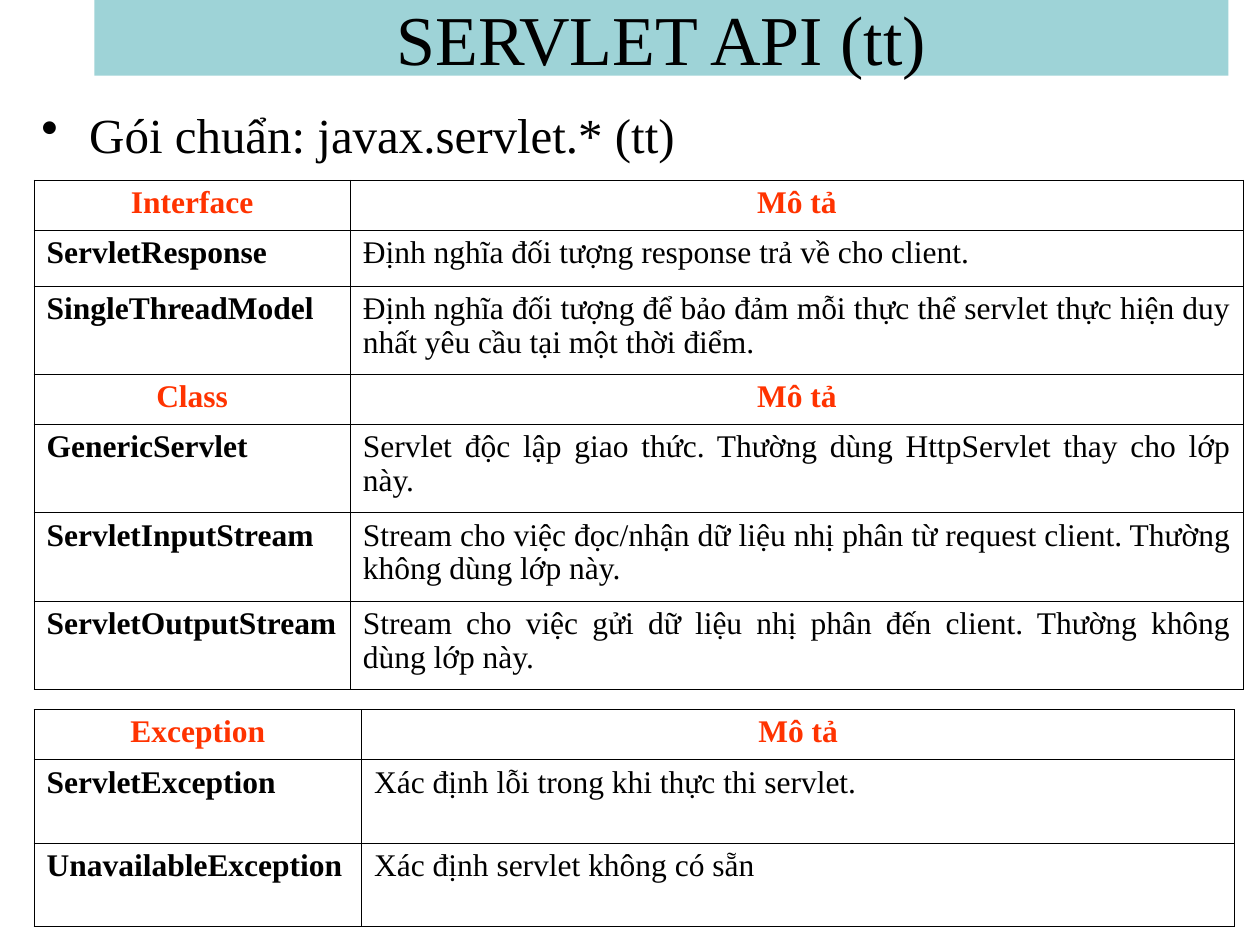
import pptx
import pptx.util
import pptx.dml.color
import pptx.enum.text
import pptx.enum.shapes
import pptx.oxml
import pptx.oxml.ns
from lxml import etree

Inches, Pt = pptx.util.Inches, pptx.util.Pt
RGB = pptx.dml.color.RGBColor
ALIGN = pptx.enum.text.PP_ALIGN
ANCHOR = pptx.enum.text.MSO_ANCHOR

BLACK = RGB(0x00, 0x00, 0x00)
RED = RGB(0xFF, 0x33, 0x00)
TEAL = RGB(0x9E, 0xD3, 0xD7)
FONT = "Times New Roman"

# Content
TITLE = "SERVLET API (tt)"
POINT = "Gói chuẩn: javax.servlet.* (tt)"
HEADS = {"Interface", "Class", "Exception"}
TABLES = [
    dict(top=1.43, cols=[2.51, 7.09], rows=[
        (0.4, "Interface", "Mô tả"),
        (0.44, "ServletResponse",
         "Định nghĩa đối tượng response trả về cho client."),
        (0.7, "SingleThreadModel",
         "Định nghĩa đối tượng để bảo đảm mỗi thực thể servlet thực hiện "
         "duy nhất yêu cầu tại một thời điểm."),
        (0.4, "Class", "Mô tả"),
        (0.7, "GenericServlet",
         "Servlet độc lập giao thức. Thường dùng HttpServlet thay cho lớp này."),
        (0.7, "ServletInputStream",
         "Stream cho việc đọc/nhận dữ liệu nhị phân từ request client. "
         "Thường không dùng lớp này."),
        (0.7, "ServletOutputStream",
         "Stream cho việc gửi dữ liệu nhị phân đến client. "
         "Thường không dùng lớp này."),
    ]),
    dict(top=5.63, cols=[2.6, 6.93], rows=[
        (0.4, "Exception", "Mô tả"),
        (0.66, "ServletException", "Xác định lỗi trong khi thực thi servlet."),
        (0.66, "UnavailableException", "Xác định servlet không có sẵn"),
    ]),
]


def write(frame, text, size, align, color=BLACK, bold=False):
    frame.text = text
    para = frame.paragraphs[0]
    para.alignment = align
    font = para.runs[0].font
    font.name, font.size, font.bold = FONT, Pt(size), bold
    font.color.rgb = color
    return para


def border(cell):
    props = cell._tc.get_or_add_tcPr()
    for i, side in enumerate(("lnL", "lnR", "lnT", "lnB")):
        line = pptx.oxml.parse_xml(
            f'<a:{side} {pptx.oxml.ns.nsdecls("a")} w="{Pt(0.45)}"><a:solidFill>'
            f'<a:srgbClr val="{BLACK}"/></a:solidFill></a:{side}>')
        props.insert(i, line)


def add_grid(slide, top, cols, rows):
    high = sum(row[0] for row in rows)
    grid = slide.shapes.add_table(
        len(rows), len(cols), Inches(0.27), Inches(top),
        Inches(sum(cols)), Inches(high)).table
    grid.first_row = grid.horz_banding = False
    for col, width in zip(grid.columns, cols):
        col.width = Inches(width)
    for r, (height, *texts) in enumerate(rows):
        grid.rows[r].height = Inches(height)
        head = texts[0] in HEADS
        for c, text in enumerate(texts):
            cell = grid.cell(r, c)
            cell.fill.background()
            border(cell)
            para = write(cell.text_frame, text, 18,
                         ALIGN.CENTER if head else ALIGN.JUSTIFY,
                         RED if head else BLACK, head or c == 0)
            para.line_spacing = 0.97


def main():
    deck = pptx.Presentation()
    deck.slide_width, deck.slide_height = Inches(10), Inches(7.5)
    slide = deck.slides.add_slide(deck.slide_layouts[6])

    # Title band
    band = slide.shapes.add_shape(
        pptx.enum.shapes.MSO_SHAPE.RECTANGLE,
        Inches(0.75), 0, Inches(9), Inches(0.6))
    band.shadow.inherit = False
    band.fill.solid()
    band.fill.fore_color.rgb = TEAL
    band.line.fill.background()
    band.text_frame.vertical_anchor = ANCHOR.MIDDLE
    write(band.text_frame, TITLE, 40, ALIGN.CENTER)

    # Bullet point
    box = slide.shapes.add_textbox(
        Inches(0.23), Inches(0.78), Inches(9.65), Inches(0.63))
    box.text_frame.word_wrap = True
    para = write(box.text_frame, POINT, 28, ALIGN.JUSTIFY)
    props = para._p.get_or_add_pPr()
    props.set("marL", str(Inches(0.38)))
    props.set("indent", str(-Inches(0.38)))
    mark = etree.SubElement(props, pptx.oxml.ns.qn("a:buChar"))
    mark.set("char", "•")

    # Tables
    for table in TABLES:
        add_grid(slide, **table)

    deck.save("out.pptx")


if __name__ == "__main__":
    main()
